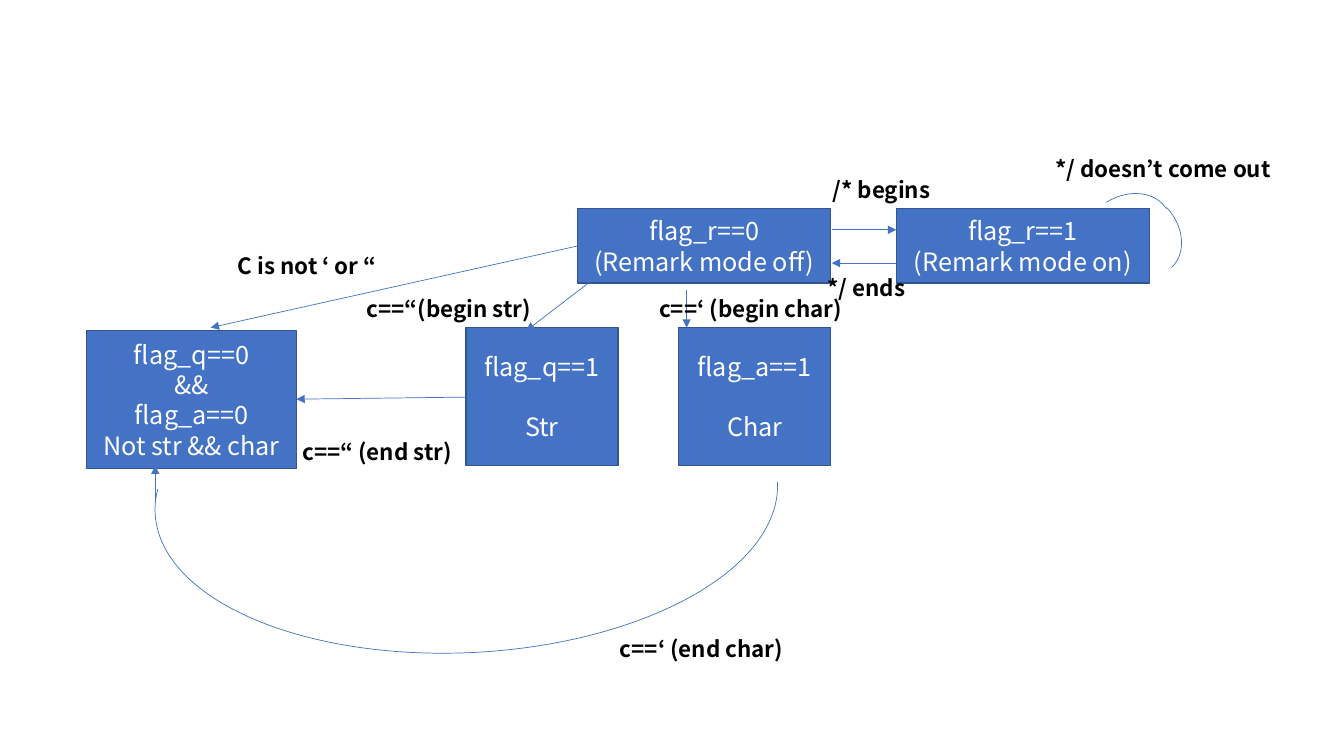
from pptx import Presentation
from pptx.dml.color import RGBColor
from pptx.enum.shapes import MSO_CONNECTOR, MSO_SHAPE
from pptx.enum.text import MSO_ANCHOR, PP_ALIGN
from pptx.oxml.ns import qn
from pptx.util import Inches, Pt
from lxml.etree import SubElement

FONT = "Noto Sans CJK KR"
BLUE, EDGE, WHITE, BLACK = "4472C4", "325491", "FFFFFF", "000000"

# Rows and sizes shared by the state boxes
MODE_TOP, MODE_SIZE = 2.07, (2.51, 0.74)
KIND_TOP, KIND_SIZE = 3.25, (1.51, 1.37)
LABEL_HEIGHT = 0.37
LINE_GAP = 21.6

# States: left, top, size, lines, points before the last line
STATES = [
    (5.73, MODE_TOP, MODE_SIZE, ["flag_r==0", "(Remark mode off)"], 0),
    (8.89, MODE_TOP, MODE_SIZE, ["flag_r==1", "(Remark mode on)"], 0),
    (0.86, 3.28, (2.08, 1.37),
     ["flag_q==0", "&&", "flag_a==0", "Not str && char"], 0),
    (4.62, KIND_TOP, KIND_SIZE, ["flag_q==1", "Str"], LINE_GAP),
    (6.73, KIND_TOP, KIND_SIZE, ["flag_a==1", "Char"], LINE_GAP),
]

# Transitions: start and end points
ARROWS = [
    ((8.25, 2.28), (8.89, 2.28)),
    ((8.89, 2.61), (8.25, 2.61)),
    ((6.81, 2.88), (6.81, KIND_TOP)),
    ((1.54, 4.98), (1.54, 4.62)),
    ((5.86, 2.79), (5.22, 3.28)),
    ((5.73, 2.44), (2.09, KIND_TOP)),
    ((4.62, 3.94), (2.94, 3.96)),
]

# Curves: left, top, width, height, rotation, start and end angle in degrees
ARCS = [
    (3.09, 1.85, 3.07, 6.18, 87.1, 270, 94.57),
    (10.83, 1.94, 0.94, 0.74, 47.1, 270, 0),
    (10.7, 1.95, 0.94, 0.74, 327.9, 270, 0),
]

# Conditions: left, top, width, wording
LABELS = [
    (8.16, 1.7, 1.42, "/* begins"),
    (8.11, 2.67, 1.33, "*/ ends"),
    (6.44, 2.88, 2.51, "c==‘ (begin char)"),
    (6.05, 6.25, 2.51, "c==‘ (end char)"),
    (3.54, 2.88, 1.91, "c==“(begin str)"),
    (2.9, 4.3, 2.51, "c==“ (end str)"),
    (10.37, 1.49, 2.52, "*/ doesn’t come out"),
    (2.26, 2.45, 1.91, "C is not ‘ or “"),
]


def color(value):
    return RGBColor.from_string(value)


def inches(*values):
    return [Inches(value) for value in values]


def style_line(line, value, width):
    line.color.rgb = color(value)
    line.width = Pt(width)


def write(frame, text, size, value, bold=False):
    frame.word_wrap = True
    frame.text = text
    for para in frame.paragraphs:
        for span in para.runs:
            font = span.font
            font.name, font.size, font.bold = FONT, Pt(size), bold
            font.color.rgb = color(value)
            SubElement(font._element, qn("a:ea"), typeface=FONT)


def add_state(left, top, size, lines, gap):
    box = page.shapes.add_shape(MSO_SHAPE.RECTANGLE, *inches(left, top, *size))
    box.shadow.inherit = False
    box.fill.solid()
    box.fill.fore_color.rgb = color(BLUE)
    style_line(box.line, EDGE, 1)
    frame = box.text_frame
    write(frame, "\n".join(lines), 18, WHITE)
    frame.vertical_anchor = MSO_ANCHOR.MIDDLE
    for para in frame.paragraphs:
        para.alignment = PP_ALIGN.CENTER
    frame.paragraphs[-1].space_before = Pt(gap)


def add_arrow(start, end):
    arrow = page.shapes.add_connector(
        MSO_CONNECTOR.STRAIGHT, *inches(*start, *end))
    style_line(arrow.line, BLUE, 0.5)
    SubElement(arrow.line._get_or_add_ln(), qn("a:tailEnd"), type="triangle")
    SubElement(arrow._element.spPr, qn("a:effectLst"))


def add_arc(left, top, width, height, rotation, start, end):
    arc = page.shapes.add_shape(
        MSO_SHAPE.ARC, *inches(left, top, width, height))
    arc.shadow.inherit = False
    arc.fill.background()
    arc.rotation = rotation
    # Angles are stored in 60000ths of a degree, adjustments in 100000ths
    for index, angle in enumerate((start, end)):
        arc.adjustments[index] = angle * 0.6
    style_line(arc.line, BLUE, 0.5)


def add_label(left, top, width, text):
    label = page.shapes.add_textbox(*inches(left, top, width, LABEL_HEIGHT))
    write(label.text_frame, text, 16, BLACK, bold=True)


deck = Presentation()
deck.slide_width, deck.slide_height = inches(13.33, 7.5)
page = deck.slides.add_slide(deck.slide_layouts[6])

# Diagram, from back to front
for add_part, parts in ((add_state, STATES), (add_arrow, ARROWS),
                        (add_arc, ARCS), (add_label, LABELS)):
    for part in parts:
        add_part(*part)

deck.save("out.pptx")
